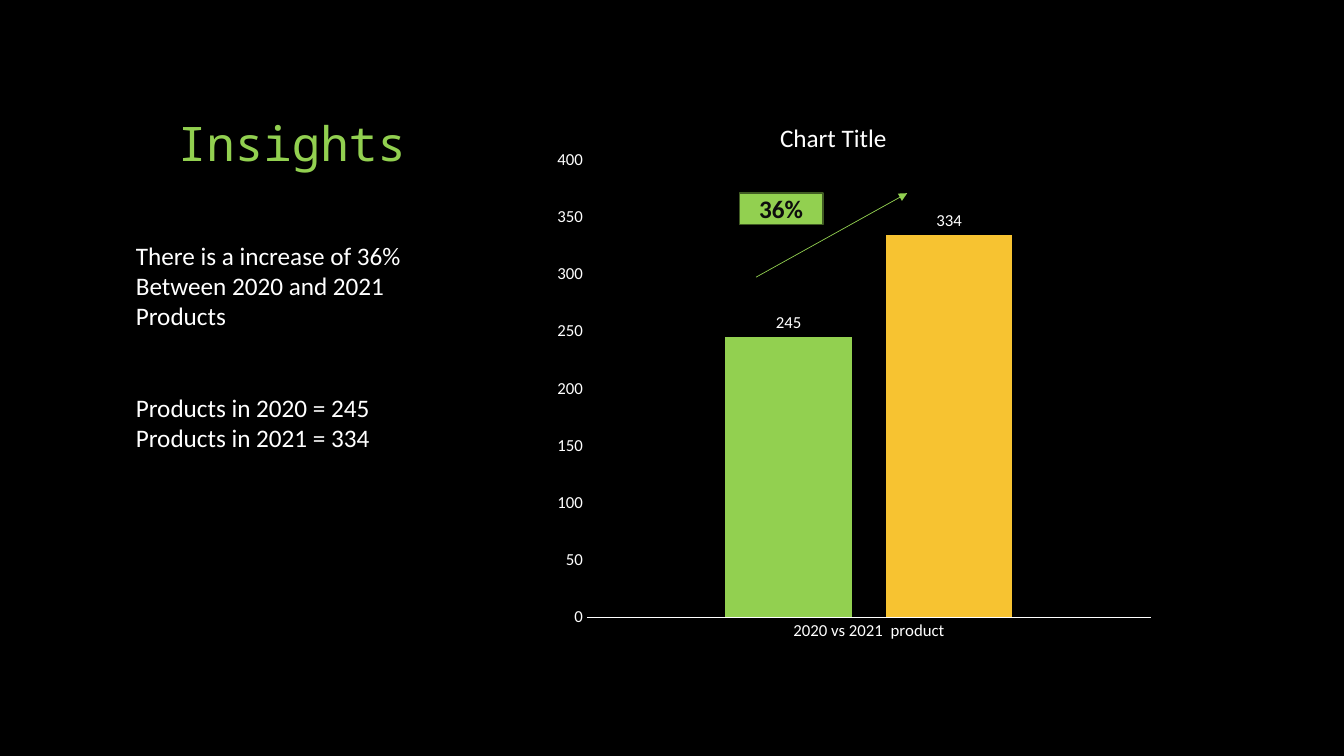
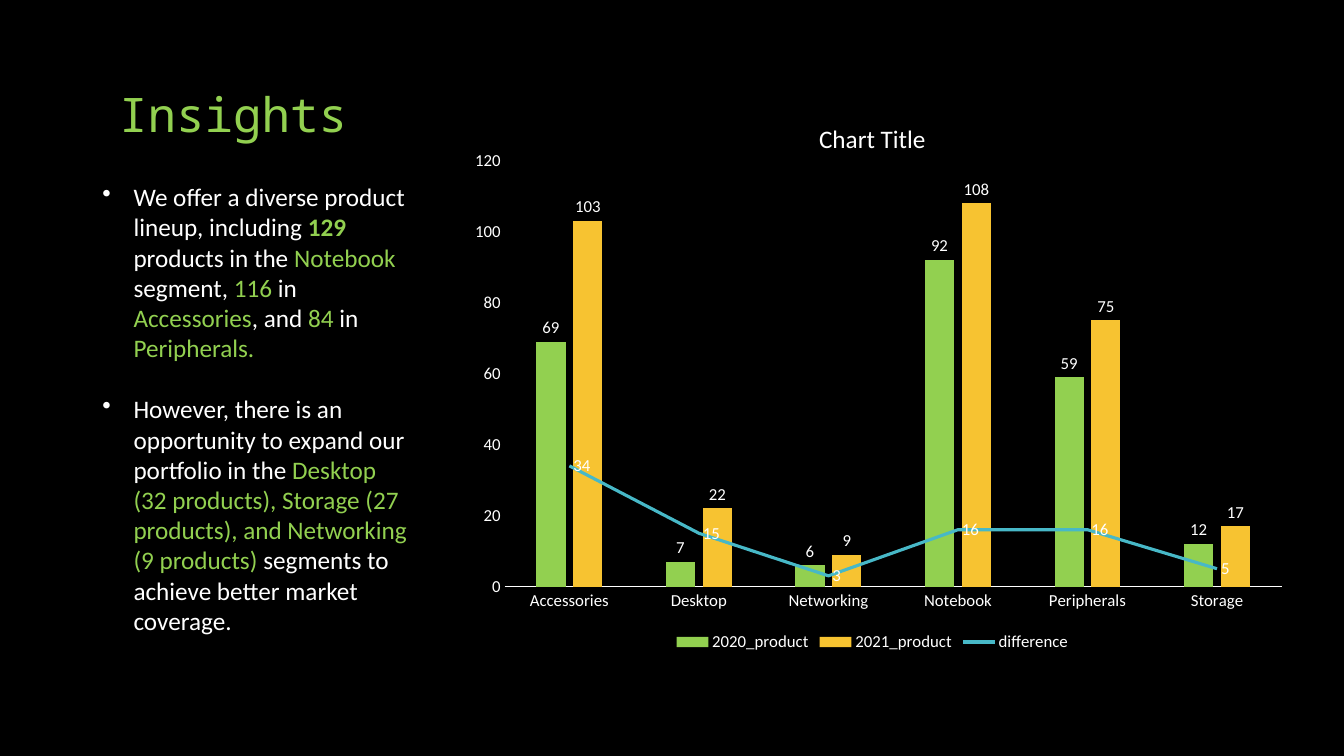
from copy import deepcopy
from dataclasses import dataclass

from lxml.etree import SubElement
from pptx import Presentation
from pptx.chart.data import CategoryChartData
from pptx.dml.color import RGBColor
from pptx.enum.chart import (XL_CHART_TYPE, XL_LABEL_POSITION, XL_LEGEND_POSITION,
                             XL_MARKER_STYLE, XL_TICK_MARK)
from pptx.enum.shapes import MSO_CONNECTOR, MSO_SHAPE
from pptx.enum.text import MSO_ANCHOR, PP_ALIGN
from pptx.oxml import parse_xml
from pptx.oxml.ns import nsdecls, qn
from pptx.util import Inches, Pt

CELL = Inches(1 / 12)
COLUMNS, ROWS = 160, 90


@dataclass(frozen=True)
class Theme:
    background: RGBColor = RGBColor.from_string("000000")
    text: RGBColor = RGBColor.from_string("FFFFFF")
    accent: RGBColor = RGBColor.from_string("92D050")
    accent_edge: RGBColor = RGBColor.from_string("405B23")
    second: RGBColor = RGBColor.from_string("F7C331")
    trend: RGBColor = RGBColor.from_string("47B8C7")
    badge_text: RGBColor = RGBColor.from_string("0D0D0D")
    title_font: str = "Noto Sans Mono"
    body_font: str = "Calibri"
    title_size: Pt = Pt(34)
    body_size: Pt = Pt(18)
    label_size: Pt = Pt(12)
    line_height: Pt = Pt(22)
    bullet_indent: Inches = Inches(0.31)


@dataclass(frozen=True)
class Box:
    left: float
    top: float
    width: float
    height: float

    def point(self, across, down):
        return (round((self.left + across * self.width) * CELL),
                round((self.top + down * self.height) * CELL))

    def area(self, width=1, height=1):
        return (*self.point(0, 0), round(width * self.width * CELL),
                round(height * self.height * CELL))


THEME = Theme()


def style_font(font, size, color, name=THEME.body_font, bold=None):
    font.size, font.name, font.bold = size, name, bold
    font.color.rgb = color


def add_title(slide, box):
    frame = slide.shapes.add_textbox(*box.area()).text_frame
    frame.word_wrap = True
    frame.vertical_anchor = MSO_ANCHOR.BOTTOM
    heading = frame.paragraphs[0]
    heading.text = "Insights"
    heading.line_spacing = 0.9
    style_font(heading.font, THEME.title_size, THEME.accent, THEME.title_font)


def add_bullet(paragraph):
    properties = paragraph._p.get_or_add_pPr()
    properties.set("marL", str(THEME.bullet_indent))
    properties.set("indent", str(-THEME.bullet_indent))
    SubElement(properties, qn("a:buChar")).set("char", "•")


def add_findings(slide, box, findings, bulleted=False):
    frame = slide.shapes.add_textbox(*box.area()).text_frame
    frame.word_wrap = True
    for index, (lines_before, phrases) in enumerate(findings):
        finding = frame.add_paragraph() if index else frame.paragraphs[0]
        if bulleted:
            add_bullet(finding)
        finding.space_before = lines_before * THEME.line_height
        style_font(finding.font, THEME.body_size, THEME.text)
        for phrase, mark in phrases:
            run = finding.add_run()
            run.text = phrase
            if mark:
                run.font.color.rgb = THEME.accent
            if mark == "strong":
                run.font.bold = True


def place_plot(chart, shares):
    plot_area = chart._chartSpace.chart.plotArea
    for layout in plot_area.findall(qn("c:layout")):
        plot_area.remove(layout)
    values = "".join(f'<c:{key} val="{share}"/>' for key, share in zip("xywh", shares))
    plot_area.insert(0, parse_xml(
        f'<c:layout {nsdecls("c")}><c:manualLayout><c:layoutTarget val="inner"/>'
        f'<c:xMode val="edge"/><c:yMode val="edge"/>{values}'
        '</c:manualLayout></c:layout>'))


def turn_last_series_into_line(chart):
    bars = chart.plots[0]._element
    trend = bars.findall(qn("c:ser"))[-1]
    for invert in trend.findall(qn("c:invertIfNegative")):
        trend.remove(invert)
    lines = parse_xml(f'<c:lineChart {nsdecls("c")}><c:grouping val="standard"/>'
                      '<c:varyColors val="0"/></c:lineChart>')
    lines.append(trend)
    for axis_id in bars.findall(qn("c:axId")):
        lines.append(deepcopy(axis_id))
    bars.addnext(lines)
    difference = chart.plots[1].series[0]
    difference.smooth = False
    difference.marker.style = XL_MARKER_STYLE.NONE


def style_axes(chart, top, step):
    for axis in (chart.category_axis, chart.value_axis):
        axis.major_tick_mark = axis.minor_tick_mark = XL_TICK_MARK.NONE
        axis.has_major_gridlines = False
        style_font(axis.tick_labels.font, THEME.label_size, THEME.text)
    base = chart.category_axis.format.line
    base.color.rgb, base.width = THEME.text, Pt(0.75)
    scale = chart.value_axis
    scale.format.line.fill.background()
    scale.minimum_scale, scale.maximum_scale, scale.major_unit = 0, top, step


def add_product_chart(slide, box, categories, series, plot, top, step, combined=False):
    data = CategoryChartData()
    data.categories = categories
    for name, values in series:
        data.add_series(name, values)
    chart = slide.shapes.add_chart(XL_CHART_TYPE.COLUMN_CLUSTERED, *box.area(), data).chart
    style_font(chart.font, THEME.label_size, THEME.text)
    heading = chart.chart_title.text_frame.paragraphs[0]
    heading.text = "Chart Title"
    style_font(heading.font, THEME.body_size, THEME.text, bold=False)
    style_axes(chart, top, step)
    place_plot(chart, plot)

    bars = chart.plots[0]
    bars.gap_width, bars.overlap, bars.vary_by_categories = 219, -27, False
    for item, color in zip(bars.series, (THEME.accent, THEME.second, THEME.trend)):
        labels = item.data_labels
        labels.show_value = True
        style_font(labels.font, THEME.label_size, THEME.text)
        if color == THEME.trend:
            item.format.line.color.rgb, item.format.line.width = color, Pt(2.25)
            labels.position = XL_LABEL_POSITION.RIGHT
        else:
            item.format.fill.solid()
            item.format.fill.fore_color.rgb = color
            labels.position = XL_LABEL_POSITION.OUTSIDE_END

    chart.has_legend = combined
    if combined:
        turn_last_series_into_line(chart)
        chart.legend.position = XL_LEGEND_POSITION.BOTTOM
        chart.legend.include_in_layout = False
        style_font(chart.legend.font, THEME.label_size, THEME.text)


def add_growth_callout(slide, box):
    arrow = slide.shapes.add_connector(MSO_CONNECTOR.STRAIGHT,
                                       *box.point(0.1, 1), *box.point(1, 0))
    arrow.line.color.rgb, arrow.line.width = THEME.accent, Pt(0.5)
    SubElement(arrow.line._get_or_add_ln(), qn("a:tailEnd")).set("type", "triangle")
    SubElement(arrow._element.spPr, qn("a:effectLst"))

    badge = slide.shapes.add_shape(MSO_SHAPE.RECTANGLE, *box.area(0.5, 0.37))
    badge.shadow.inherit = False
    badge.fill.solid()
    badge.fill.fore_color.rgb = THEME.accent
    badge.line.color.rgb, badge.line.width = THEME.accent_edge, Pt(1)
    badge.text_frame.vertical_anchor = MSO_ANCHOR.MIDDLE
    growth = badge.text_frame.paragraphs[0]
    growth.text = "36%"
    growth.alignment = PP_ALIGN.CENTER
    style_font(growth.font, THEME.body_size, THEME.badge_text, bold=True)


def build_totals_slide(slide):
    add_title(slide, Box(20, 6, 120, 15))
    add_findings(slide, Box(15, 28, 35, 26.6), [
        (0, [("There is a increase of 36%", None)]),
        (0, [("Between 2020 and 2021 Products", None)]),
        (2, [("Products in 2020 = 245", None)]),
        (0, [("Products in 2021 = 334", None)]),
    ])
    add_product_chart(slide, Box(58.7, 11.8, 81, 66.6), ["2020 vs 2021  product"],
                      [("Series 1", [245]), ("Series 2", [334])],
                      plot=(0.138, 0.108, 0.829, 0.818), top=400, step=50)
    add_growth_callout(slide, Box(88, 23, 20, 10))


def build_segments_slide(slide):
    add_title(slide, Box(13, 2.6, 120, 15))
    add_findings(slide, Box(11, 21, 39, 59.4), [
        (0, [("We offer a diverse product lineup, including ", None), ("129", "strong"),
             (" products in the ", None), ("Notebook", "accent"),
             (" segment, ", None), ("116", "accent"), (" in ", None),
             ("Accessories", "accent"), (", and ", None), ("84", "accent"),
             (" in ", None), ("Peripherals.", "accent")]),
        (1, [("However, there is an opportunity to expand our portfolio in the ", None),
             ("Desktop (32 products), Storage (27 products), and Networking (9 products)",
              "accent"),
             (" segments to achieve better market coverage.", None)]),
    ], bulleted=True)
    add_product_chart(
        slide, Box(54, 12, 99.7, 66.1),
        ["Accessories", "Desktop", "Networking", "Notebook", "Peripherals", "Storage"],
        [("2020_product", [69, 7, 6, 92, 59, 12]),
         ("2021_product", [103, 22, 9, 108, 75, 17]),
         ("difference", [34, 15, 3, 16, 16, 5])],
        plot=(0.061, 0.108, 0.928, 0.767), top=120, step=20, combined=True)


def main():
    deck = Presentation()
    deck.slide_width, deck.slide_height = COLUMNS * CELL, ROWS * CELL
    backdrop = deck.slide_master.background.fill
    backdrop.solid()
    backdrop.fore_color.rgb = THEME.background
    for build in (build_totals_slide, build_segments_slide):
        build(deck.slides.add_slide(deck.slide_layouts[6]))
    deck.save("out.pptx")


if __name__ == "__main__":
    main()
